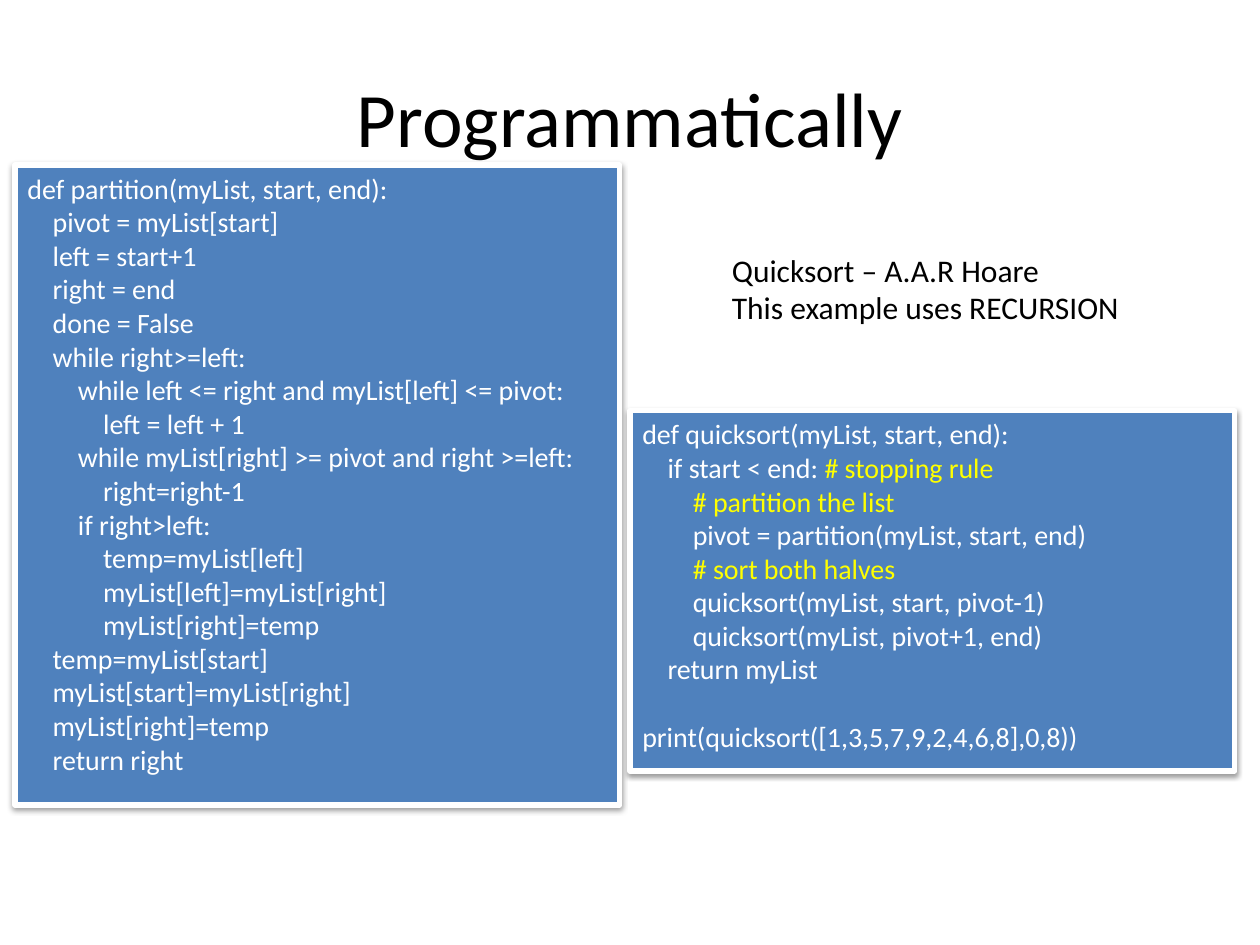
import pptx
import pptx.dml.color
import pptx.enum.shapes
import pptx.enum.text
import pptx.oxml
import pptx.util
from pptx.util import Inches

Pt = pptx.util.Pt
Align = pptx.enum.text.PP_ALIGN
Anchor = pptx.enum.text.MSO_ANCHOR
Fit = pptx.enum.text.MSO_AUTO_SIZE
hues = {"black": "000000", "white": "FFFFFF", "blue": "4F81BD", "note": "FFFF00"}

shade = (
    '<a:effectLst xmlns:a="http://schemas.openxmlformats.org/drawingml/2006/main">'
    '<a:outerShdw blurRad="40000" dist="20000" dir="5400000" rotWithShape="0">'
    '<a:srgbClr val="000000"><a:alpha val="38000"/></a:srgbClr>'
    '</a:outerShdw></a:effectLst>'
)


def color(name):
    return pptx.dml.color.RGBColor.from_string(hues[name])


def write(frame, text, size=18, hue="black", align=Align.LEFT,
          anchor=Anchor.TOP, wrap=True, fit=Fit.SHAPE_TO_FIT_TEXT):
    """Fill a frame line by line; comments after # get the note colour."""
    frame.word_wrap = wrap
    frame.auto_size = fit
    frame.vertical_anchor = anchor
    para, gap = frame.paragraphs[0], 0
    for num, line in enumerate(text.splitlines()):
        if not line:
            gap += size * 1.2  # an empty line becomes space before the next
            continue
        if num:
            para = frame.add_paragraph()
        para.alignment = align
        if gap:
            para.space_before = Pt(gap)
            gap = 0
        code, mark, note = line.partition("#")
        for part, tint in ((code, hue), (mark + note, "note")):
            if part:
                run = para.add_run()
                run.text = part
                run.font.name = "Calibri"
                run.font.size = Pt(size)
                run.font.color.rgb = color(tint)


deck = pptx.Presentation()
deck.slide_width, deck.slide_height = Inches(10), Inches(7.5)
slide = deck.slides.add_slide(deck.slide_layouts[6])
shapes = slide.shapes

# Title
title = shapes.add_textbox(Inches(0.5), Inches(0.3), Inches(9), Inches(1.25))
write(title.text_frame, "Programmatically", size=44, align=Align.CENTER,
      anchor=Anchor.MIDDLE, fit=Fit.NONE)

# Code panels
split = """def partition(myList, start, end):
    pivot = myList[start]
    left = start+1
    right = end
    done = False
    while right>=left:
        while left <= right and myList[left] <= pivot:
            left = left + 1
        while myList[right] >= pivot and right >=left:
            right=right-1
        if right>left:
            temp=myList[left]
            myList[left]=myList[right]
            myList[right]=temp
    temp=myList[start]
    myList[start]=myList[right]
    myList[right]=temp
    return right"""

sort = """def quicksort(myList, start, end):
    if start < end: # stopping rule
        # partition the list
        pivot = partition(myList, start, end)
        # sort both halves
        quicksort(myList, start, pivot-1)
        quicksort(myList, pivot+1, end)
    return myList

print(quicksort([1,3,5,7,9,2,4,6,8],0,8))"""

for code, left, top, high in ((split, 0.12, 1.31, 5.08), (sort, 5, 3.26, 2.86)):
    panel = shapes.add_shape(pptx.enum.shapes.MSO_SHAPE.RECTANGLE,
                             Inches(left), Inches(top), Inches(4.8), Inches(high))
    panel.fill.solid()
    panel.fill.fore_color.rgb = color("blue")
    panel.line.color.rgb = color("white")
    panel.line.width = Pt(3)
    panel._element.spPr.append(pptx.oxml.parse_xml(shade))
    write(panel.text_frame, code, size=16, hue="white")

# Remark
remark = shapes.add_textbox(Inches(5.71), Inches(1.94), Inches(3.89), Inches(0.71))
write(remark.text_frame, "Quicksort – A.A.R Hoare\nThis example uses RECURSION",
      wrap=False)

deck.save("out.pptx")
